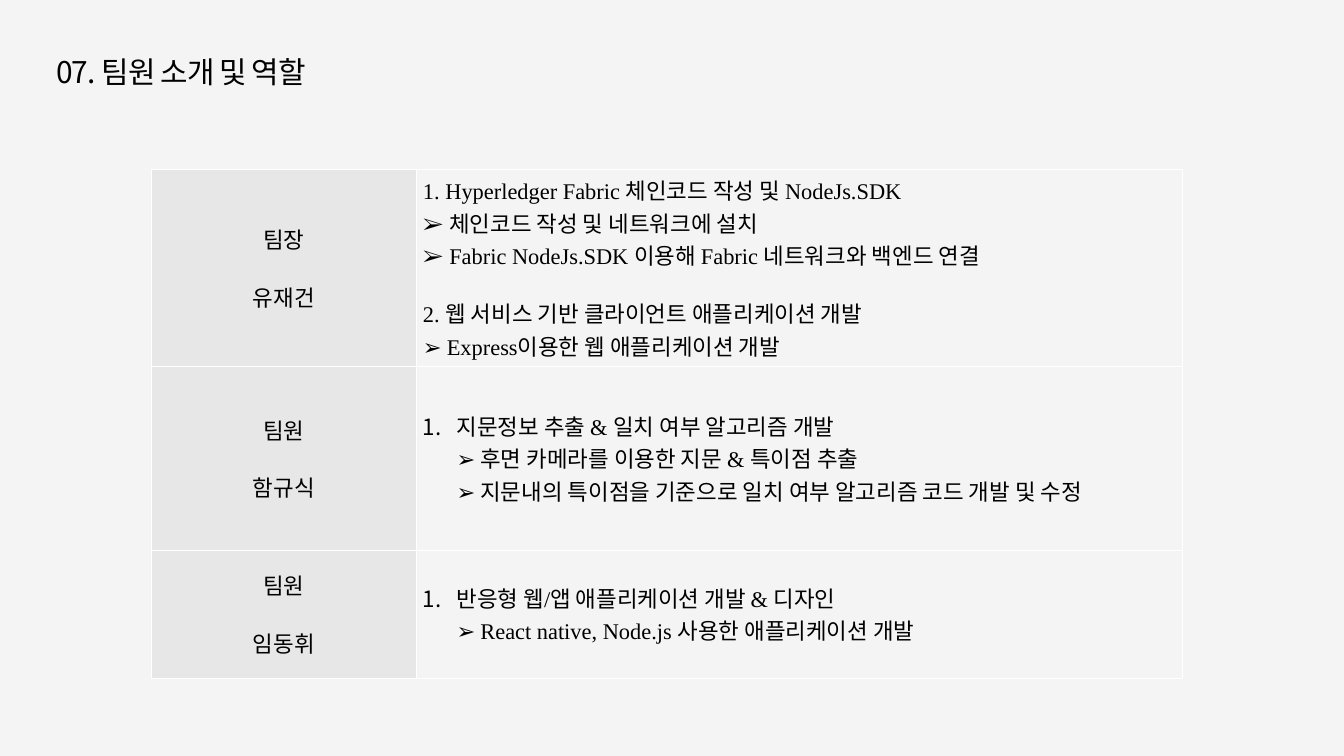
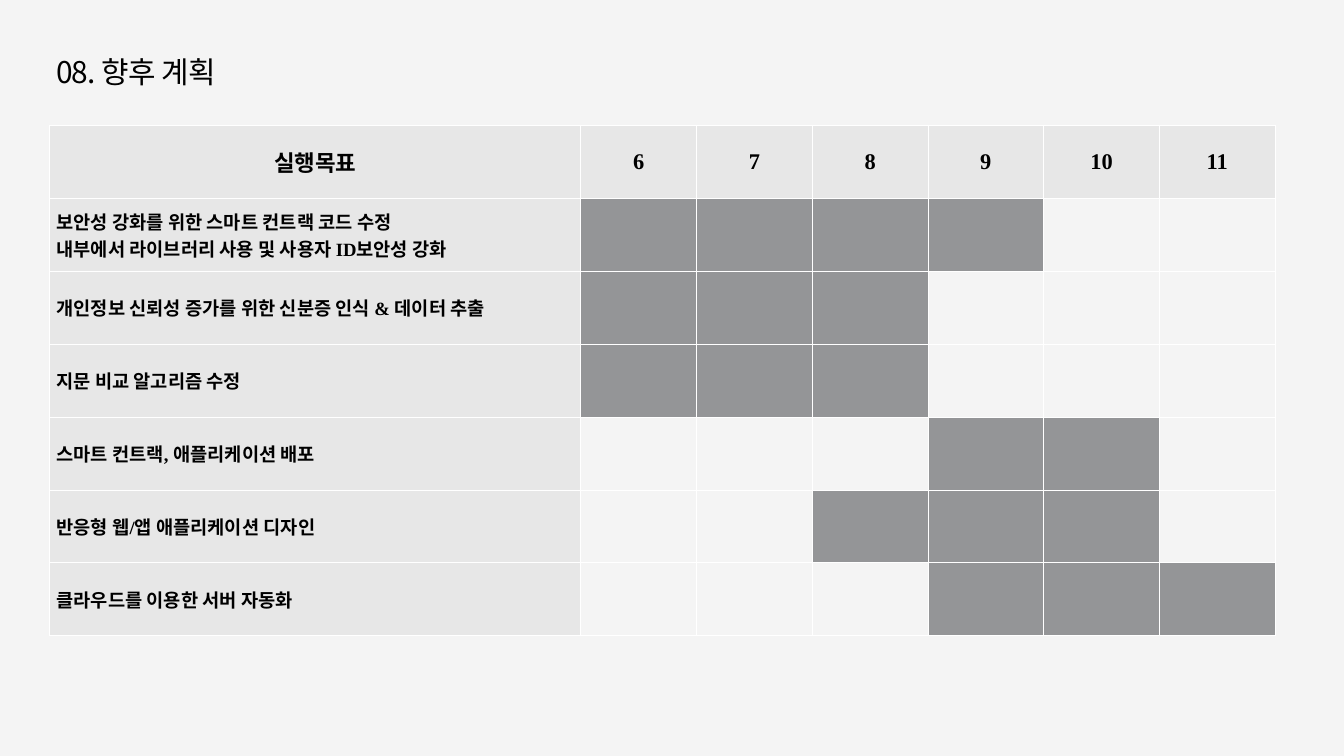
from dataclasses import dataclass

from lxml import etree
from pptx import Presentation
from pptx.dml.color import RGBColor
from pptx.enum import text as t
from pptx.oxml import ns
from pptx.util import Pt


@dataclass(frozen=True)
class Theme:
    paper: str = "F4F4F4"
    label: str = "E7E7E7"
    active: str = "949597"
    rule: str = "FFFFFF"
    ink: str = "000000"
    title_size: int = 32
    body_size: int = 24
    goal_size: int = 20
    lead_face: str = "Noto Sans CJK KR"
    title_face: str = "Calibri"
    body_face: str = "Times New Roman"


theme = Theme()


def write(frame, text, tail="", size=theme.body_size, face=theme.body_face,
          tail_face=theme.title_face, bold=False, centred=False,
          spacing=0, gaps=None, numbered=False):
    for index, wording in enumerate(text.split("\n")):
        paragraph = frame.add_paragraph() if index else frame.paragraphs[0]
        paragraph.text = wording
        paragraph.alignment = t.PP_ALIGN.CENTER if centred else t.PP_ALIGN.LEFT
        if numbered:
            properties = paragraph._p.get_or_add_pPr()
            properties.set("marL", str(Pt(36)))
            properties.set("indent", str(-Pt(36)))
            etree.SubElement(properties, ns.qn("a:buAutoNum"), type="arabicPeriod")
        if gaps and index in gaps:
            paragraph.space_before = Pt(gaps[index])
        faces = [face] * len(paragraph.runs)
        if tail:
            paragraph.add_run().text = tail
            faces.append(tail_face)
        for run, run_face in zip(paragraph.runs, faces):
            run.font.name = run_face
            run.font.size = Pt(size)
            run.font.bold = bold
            run.font.color.rgb = RGBColor.from_string(theme.ink)
            if spacing:
                run._r.get_or_add_rPr().set("spc", str(spacing * 100))


def add_grid(slide, left, top, widths, heights, shade):
    grid = slide.shapes.add_table(len(heights), len(widths), Pt(left), Pt(top),
                                  Pt(sum(widths)), Pt(sum(heights))).table
    grid.first_row = grid.horz_banding = False
    for column, width in zip(grid.columns, widths):
        column.width = Pt(width)
    for r, height in enumerate(heights):
        grid.rows[r].height = Pt(height)
        for c in range(len(widths)):
            cell = grid.cell(r, c)
            cell.vertical_anchor = t.MSO_ANCHOR.MIDDLE
            properties = cell._tc.get_or_add_tcPr()
            for side in ("a:lnL", "a:lnR", "a:lnT", "a:lnB"):
                border = etree.SubElement(properties, ns.qn(side), w=str(Pt(1)))
                fill = etree.SubElement(border, ns.qn("a:solidFill"))
                etree.SubElement(fill, ns.qn("a:srgbClr"), val=theme.rule)
            cell.fill.solid()
            cell.fill.fore_color.rgb = RGBColor.from_string(shade(r, c))
    return grid


deck = Presentation()
deck.slide_width, deck.slide_height = Pt(1440), Pt(810)
deck.slide_master.background.fill.solid()
deck.slide_master.background.fill.fore_color.rgb = RGBColor.from_string(theme.paper)

slides = []
for lead, tail in (("07. ", "팀원 소개 및 역할"), ("08. 향후", " 계획")):
    slide = deck.slides.add_slide(deck.slide_layouts[6])
    heading = slide.shapes.add_textbox(Pt(53.3), Pt(54), Pt(612), Pt(46)).text_frame
    heading.word_wrap = True
    heading.auto_size = t.MSO_AUTO_SIZE.SHAPE_TO_FIT_TEXT
    heading.vertical_anchor = t.MSO_ANCHOR.MIDDLE
    heading.margin_top = heading.margin_bottom = 0
    write(heading, lead, tail=tail, size=theme.title_size, face=theme.lead_face, spacing=-1)
    slides.append(slide)
team_slide, plan_slide = slides

members = [
    ("팀장\n유재건",
     "1. Hyperledger Fabric 체인코드 작성 및 NodeJs.SDK\v➢ 체인코드 작성 및 네트워크에 설치\n"
     "➢ Fabric NodeJs.SDK 이용해 Fabric 네트워크와 백엔드 연결\n"
     "2. 웹 서비스 기반 클라이언트 애플리케이션 개발\v➢ Express이용한 웹 애플리케이션 개발",
     {"gaps": {2: 27}}),
    ("팀원\n함규식",
     "지문정보 추출 & 일치 여부 알고리즘 개발\v➢ 후면 카메라를 이용한 지문 & 특이점 추출\v"
     "➢ 지문내의 특이점을 기준으로 일치 여부 알고리즘 코드 개발 및 수정",
     {"numbered": True}),
    ("팀원\n임동휘",
     "반응형 웹/앱 애플리케이션 개발 & 디자인\v➢ React native, Node.js 사용한 애플리케이션 개발",
     {"numbered": True}),
]
roles = add_grid(team_slide, 162, 181.4, [284, 820.5], [211, 197, 137],
                 lambda r, c: theme.paper if c else theme.label)
for r, (member, duties, layout) in enumerate(members):
    write(roles.cell(r, 0).text_frame, member, centred=True, gaps={1: 27})
    write(roles.cell(r, 1).text_frame, duties, **layout)

months = range(6, 12)
goals = [
    ("보안성 강화를 위한 스마트 컨트랙 코드 수정\n내부에서 라이브러리 사용 및 사용자 ID보안성 강화", 6, 9),
    ("개인정보 신뢰성 증가를 위한 신분증 인식 & 데이터 추출", 6, 8),
    ("지문 비교 알고리즘 수정", 6, 8),
    ("스마트 컨트랙, 애플리케이션 배포", 9, 10),
    ("반응형 웹/앱 애플리케이션 디자인", 8, 10),
    ("클라우드를 이용한 서버 자동화", 9, 11),
]
schedule = add_grid(
    plan_slide, 53.3, 134.5, [569] + [124] * len(months), [78.1] * (len(goals) + 1),
    lambda r, c: theme.label if r == 0 or c == 0
    else theme.active if goals[r - 1][1] <= months[c - 1] <= goals[r - 1][2]
    else theme.paper)
for c, caption in enumerate(["실행목표", *months]):
    write(schedule.cell(0, c).text_frame, str(caption), bold=True, centred=True)
for r, (goal, start, end) in enumerate(goals, 1):
    write(schedule.cell(r, 0).text_frame, goal, size=theme.goal_size, bold=True)

deck.save("out.pptx")
